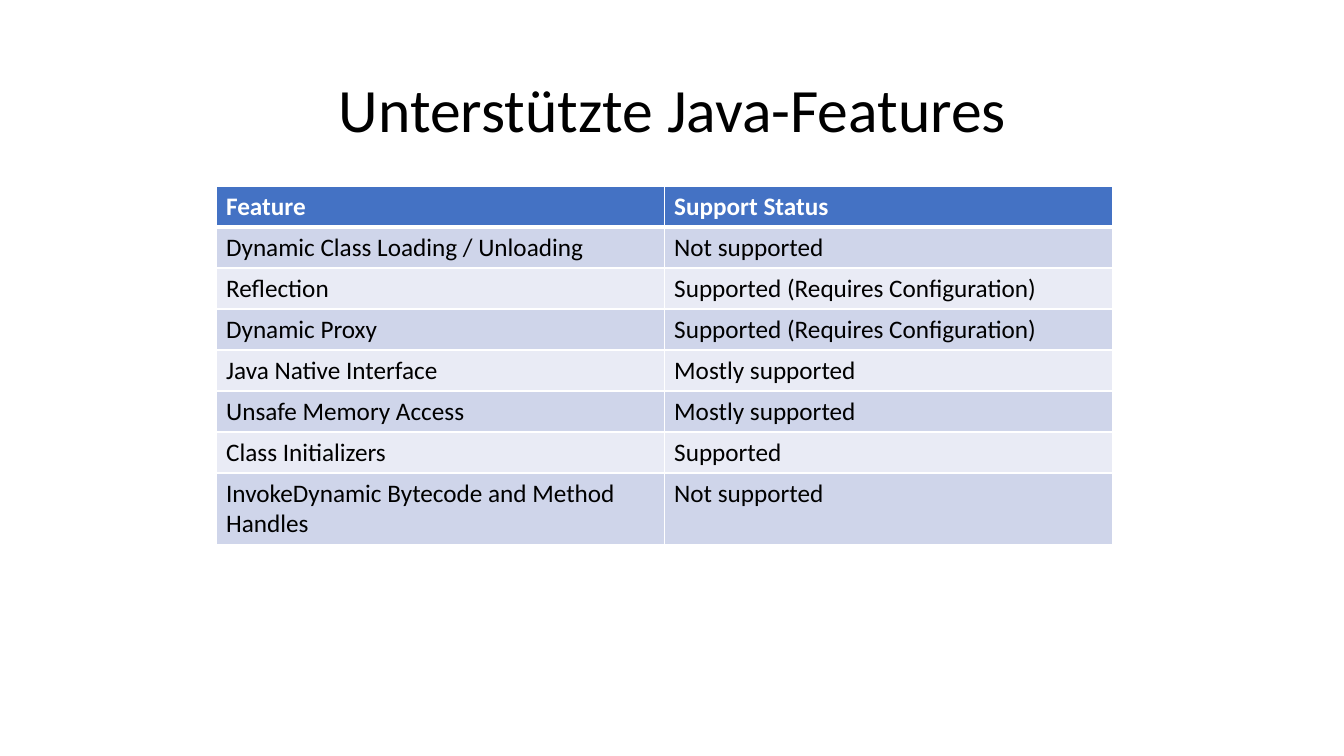
from lxml.etree import SubElement
from pptx import Presentation
from pptx.dml.color import RGBColor
from pptx.enum.text import MSO_ANCHOR, PP_ALIGN
from pptx.oxml.ns import qn
from pptx.util import Inches, Pt

EMU_PER_PIXEL = 914400 / 100.8


def px(pixels):
    """Turn picture pixels into EMU."""
    return round(pixels * EMU_PER_PIXEL)


def rgb(code):
    """Turn a hex string into a colour."""
    return RGBColor.from_string(code)


def write(frame, text, size=18, color="000000", bold=False,
          align=PP_ALIGN.LEFT, spacing=1.0):
    """Put one formatted paragraph into a text frame."""
    paragraph = frame.paragraphs[0]
    paragraph.alignment = align
    paragraph.line_spacing = spacing
    run = paragraph.add_run()
    run.text = text
    run.font.name = SlideBuilder.FONT
    run.font.size = Pt(size)
    run.font.bold = bold
    run.font.color.rgb = rgb(color)


def set_border(cell, side, color, width):
    """Draw a solid line on one side (L, R, T or B) of a cell."""
    line = SubElement(cell._tc.get_or_add_tcPr(), qn(f"a:ln{side}"), w=str(Pt(width)))
    fill = SubElement(line, qn("a:solidFill"))
    SubElement(fill, qn("a:srgbClr"), val=color)


class SlideBuilder:
    """Hold the style and the current slide."""

    FONT = "Calibri"
    HEADER = "4472C4"
    BANDS = ("CFD5EA", "E9EBF5")
    WHITE = "FFFFFF"

    def __init__(self, slide):
        """Keep the slide to draw on."""
        self.slide = slide

    def title(self, text, left, top, width, height):
        """Add a large centred heading."""
        box = self.slide.shapes.add_textbox(px(left), px(top), px(width), px(height))
        frame = box.text_frame
        frame.word_wrap = True
        frame.vertical_anchor = MSO_ANCHOR.MIDDLE
        write(frame, text, size=44, align=PP_ALIGN.CENTER, spacing=0.9)

    def table(self, rows, left, top, column_width, row_heights):
        """Add a banded table whose first row is the header."""
        columns = len(rows[0])
        table = self.slide.shapes.add_table(
            len(rows), columns, px(left), px(top),
            px(column_width * columns), px(sum(row_heights))).table
        for column in table.columns:
            column.width = px(column_width)
        for index, (texts, height) in enumerate(zip(rows, row_heights)):
            table.rows[index].height = px(height)
            for cell, text in zip(table.rows[index].cells, texts):
                self.table_cell(cell, text, index)

    def table_cell(self, cell, text, row):
        """Style and fill one cell according to its row."""
        header = row == 0
        widths = {"L": 1, "R": 1, "T": 3 if row == 1 else 1, "B": 3 if header else 1}
        for side, width in widths.items():
            set_border(cell, side, self.WHITE, width)
        cell.fill.solid()
        cell.fill.fore_color.rgb = rgb(self.HEADER if header else self.BANDS[(row - 1) % 2])
        write(cell.text_frame, text, bold=header,
              color=self.WHITE if header else "000000")


FEATURES = [
    ("Feature", "Support Status"),
    ("Dynamic Class Loading / Unloading", "Not supported"),
    ("Reflection", "Supported (Requires Configuration)"),
    ("Dynamic Proxy", "Supported (Requires Configuration)"),
    ("Java Native Interface", "Mostly supported"),
    ("Unsafe Memory Access", "Mostly supported"),
    ("Class Initializers", "Supported"),
    ("InvokeDynamic Bytecode and Method Handles", "Not supported"),
]

presentation = Presentation()
presentation.slide_width = Inches(13.33)
presentation.slide_height = Inches(7.5)
builder = SlideBuilder(presentation.slides.add_slide(presentation.slide_layouts[6]))
builder.title("Unterstützte Java-Features", 93, 40, 1159, 146)
single_line, double_line = 41, 72
builder.table(FEATURES, 216, 186, 448,
              [single_line] * (len(FEATURES) - 1) + [double_line])
presentation.save("out.pptx")
